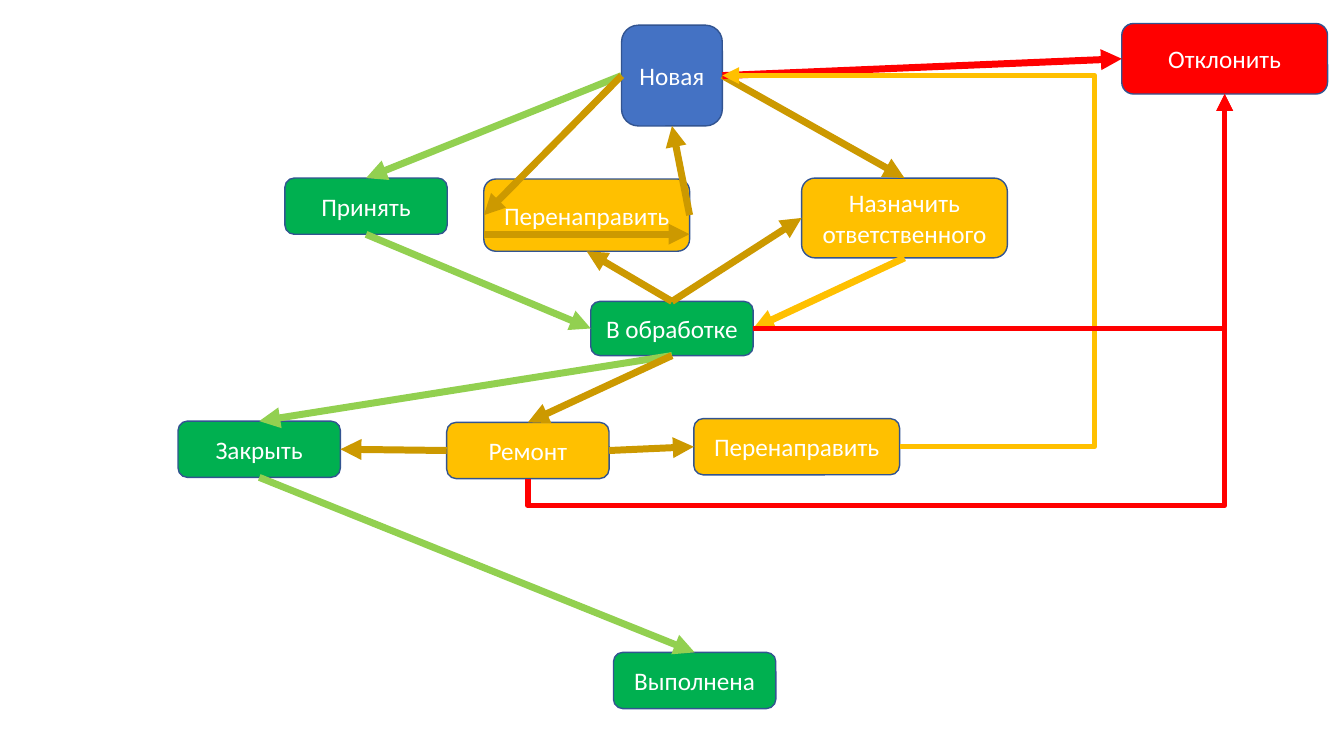
from lxml.etree import SubElement
from pptx import Presentation
from pptx.dml.color import RGBColor
from pptx.enum.shapes import MSO_CONNECTOR as LineKind, MSO_SHAPE as ShapeKind
from pptx.enum.text import MSO_ANCHOR as Anchor, PP_ALIGN as Align
from pptx.oxml.ns import qn
from pptx.util import Pt

GREEN, LIME, AMBER, OCHRE = "00B050", "92D050", "FFC000", "CC9900"
BLUE, RED, WHITE, OUTLINE = "4472C4", "FF0000", "FFFFFF", "325491"
TOP, LEFT, BOTTOM, RIGHT = range(4)  # connection sites of a rounded box
NARROW, WIDE = 116, 147


def color(value):
    return RGBColor.from_string(value)


def write(frame, text, *, font, size, ink):
    frame.word_wrap = True
    frame.vertical_anchor = Anchor.MIDDLE
    para = frame.paragraphs[0]
    para.alignment = Align.CENTER
    span = para.add_run()
    span.text = text
    span.font.name, span.font.size = font, Pt(size)
    span.font.color.rgb = color(ink)


class Flowchart:
    font, size = "Calibri", 18

    def __init__(self, page):
        self.page = page

    def box(self, text, fill, left, top, width, height):
        box = self.page.shapes.add_shape(
            ShapeKind.ROUNDED_RECTANGLE, Pt(left), Pt(top), Pt(width), Pt(height))
        box.shadow.inherit = False
        box.fill.solid()
        box.fill.fore_color.rgb = color(fill)
        box.line.color.rgb = color(OUTLINE)
        box.line.width = Pt(1)
        write(box.text_frame, text, font=self.font, size=self.size, ink=WHITE)
        return box

    def arrow(self, ink, start=(0, 0), end=(0, 0), kind=LineKind.STRAIGHT, weight=5):
        arrow = self.page.shapes.add_connector(kind, *map(Pt, start + end))
        arrow.line.color.rgb = color(ink)
        arrow.line.width = Pt(weight)
        SubElement(arrow.line._get_or_add_ln(), qn("a:tailEnd"), type="triangle")
        SubElement(arrow._element.spPr, qn("a:effectLst"))
        return arrow

    def link(self, ink, source, source_site, target, target_site, **style):
        arrow = self.arrow(ink, **style)
        arrow.begin_connect(source, source_site)
        arrow.end_connect(target, target_site)
        return arrow

    def elbow(self, ink, *ends, bend=None, upright=False):
        """Bent arrow; without a bend it has a single corner."""
        arrow = self.link(ink, *ends, kind=LineKind.ELBOW, weight=4)
        properties = arrow._element.spPr
        geometry = properties.find(qn("a:prstGeom"))
        if bend is None:
            geometry.set("prst", "bentConnector2")
        else:
            guides = geometry.find(qn("a:avLst"))
            if guides is None:
                guides = SubElement(geometry, qn("a:avLst"))
            SubElement(guides, qn("a:gd"), name="adj1", fmla=f"val {round(bend * 100000)}")
        if upright:  # leaves vertically: quarter turn about the centre
            width, height = arrow.width, arrow.height
            arrow.left += (width - height) // 2
            arrow.top += (height - width) // 2
            arrow.width, arrow.height = height, width
            for name, value in (("rot", "5400000"), ("flipH", "1"), ("flipV", "1")):
                properties.find(qn("a:xfrm")).set(name, value)
        return arrow


def main():
    deck = Presentation()
    deck.slide_width, deck.slide_height = Pt(960), Pt(540)
    chart = Flowchart(deck.slides.add_slide(deck.slide_layouts[6]))

    # Request states and actions
    new = chart.box("Новая", BLUE, 444, 18, 72, 72)
    accept = chart.box("Принять", GREEN, 203.5, 127.2, NARROW, 40.2)
    forward = chart.box("Перенаправить", AMBER, 345.6, 127.9, WIDE, 51.6)
    assign = chart.box("Назначить ответственного", AMBER, 572.6, 127.2, WIDE, 57)
    reject = chart.box("Отклонить", RED, 801.3, 16.8, WIDE, 50.4)
    working = chart.box("В обработке", GREEN, 422, 215.3, NARROW, 38.7)
    repair = chart.box("Ремонт", AMBER, 319.1, 301.7, NARROW, 40.2)
    close = chart.box("Закрыть", GREEN, 127.2, 300.8, NARROW, 40.2)
    forward_repair = chart.box("Перенаправить", AMBER, 495.6, 299, WIDE, 40.2)
    done = chart.box("Выполнена", GREEN, 438.2, 466, NARROW, 40.2)

    # Straight transitions
    for transition in (
        (LIME, new, LEFT, accept, TOP),
        (OCHRE, new, LEFT, forward, LEFT),
        (OCHRE, forward, RIGHT, new, BOTTOM),
        (LIME, accept, BOTTOM, working, LEFT),
        (OCHRE, new, RIGHT, assign, TOP),
        (AMBER, assign, BOTTOM, working, RIGHT),
        (RED, new, RIGHT, reject, LEFT),
        (LIME, working, BOTTOM, close, TOP),
        (OCHRE, working, BOTTOM, repair, TOP),
        (OCHRE, working, TOP, forward, BOTTOM),
        (OCHRE, repair, LEFT, close, RIGHT),
        (LIME, close, BOTTOM, done, TOP),
        (OCHRE, repair, RIGHT, forward_repair, LEFT),
        (OCHRE, working, TOP, assign, LEFT),
    ):
        chart.link(*transition)
    chart.arrow(OCHRE, (345.6, 167.3), (492.6, 167.3))

    # Bent transitions
    chart.elbow(AMBER, forward_repair, RIGHT, new, RIGHT, bend=-1.1)
    chart.elbow(RED, repair, BOTTOM, reject, BOTTOM, bend=-0.07, upright=True)
    chart.elbow(RED, working, RIGHT, reject, BOTTOM)

    deck.save("out.pptx")


if __name__ == "__main__":
    main()
